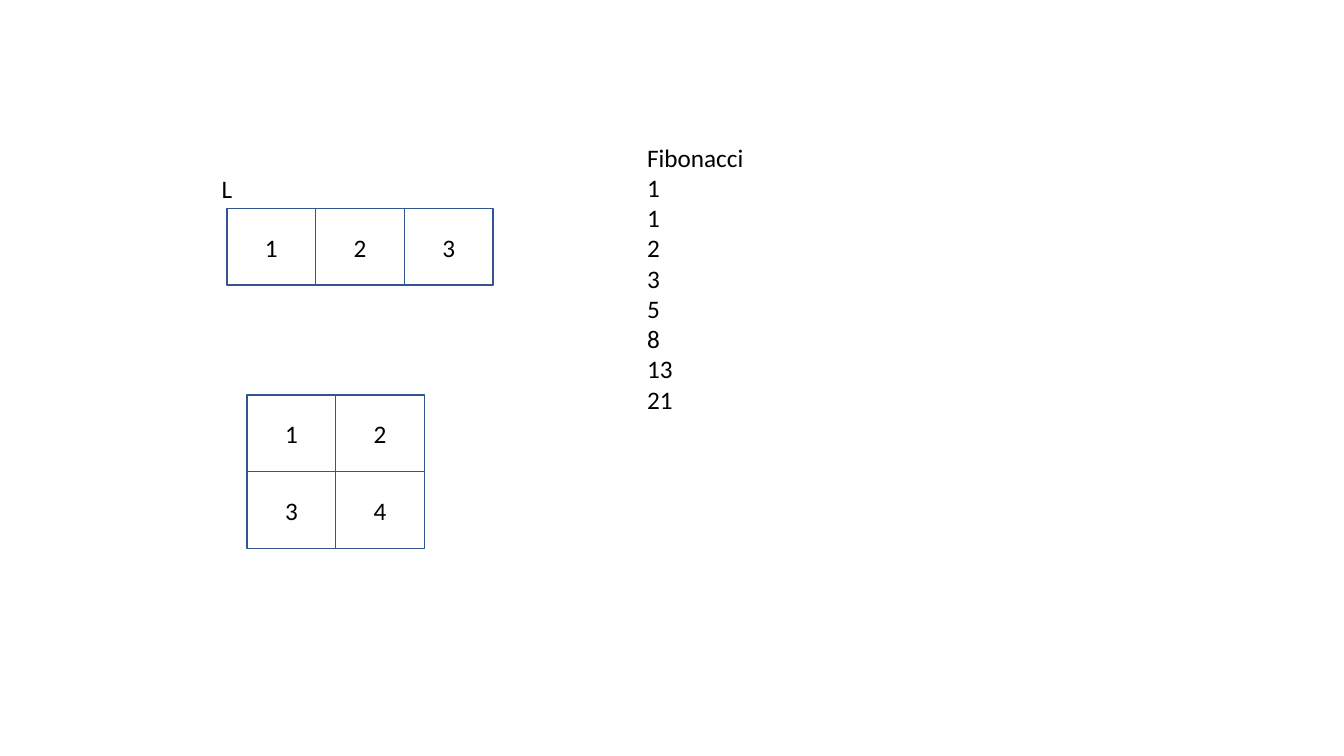
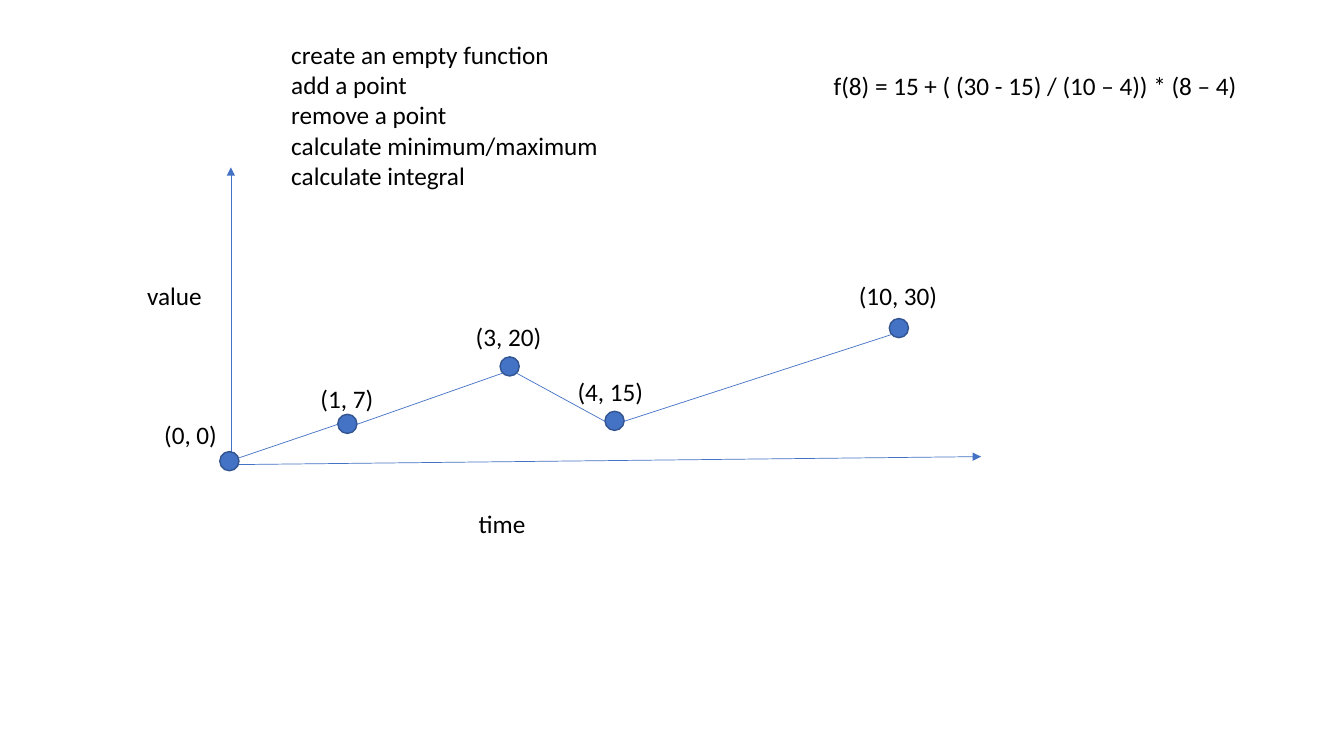
from dataclasses import dataclass
from typing import NamedTuple

from lxml import etree
from pptx import Presentation
from pptx.dml.color import RGBColor
from pptx.enum.shapes import MSO_CONNECTOR, MSO_SHAPE
from pptx.enum.text import MSO_ANCHOR, MSO_AUTO_SIZE, PP_ALIGN
from pptx.oxml.ns import qn
from pptx.shapes.autoshape import Shape
from pptx.slide import Slide
from pptx.text.text import TextFrame
from pptx.util import Inches, Pt

RECT, OVAL = MSO_SHAPE.RECTANGLE, MSO_SHAPE.OVAL
STRAIGHT = MSO_CONNECTOR.STRAIGHT
MIDDLE, CENTER, LEFT = MSO_ANCHOR.MIDDLE, PP_ALIGN.CENTER, PP_ALIGN.LEFT
GROW = MSO_AUTO_SIZE.SHAPE_TO_FIT_TEXT


@dataclass(frozen=True)
class Theme:
    font: str = "Calibri"
    size: float = 18
    ink: RGBColor = RGBColor(0, 0, 0)
    blue: RGBColor = RGBColor(0x44, 0x72, 0xC4)
    edge: RGBColor = RGBColor(0x32, 0x54, 0x91)
    border: float = 1
    thin: float = 0.5


THEME = Theme()
CELL_W, CELL_H = 0.88, 0.76
DOT = 0.19


class Label(NamedTuple):
    left: float
    top: float
    width: float
    height: float
    lines: list[str]


class Grid(NamedTuple):
    left: float
    top: float
    rows: list[list[int]]


class Point(NamedTuple):
    left: float
    top: float
    label: Label


class Line(NamedTuple):
    start: tuple[float, float]
    end: tuple[float, float]
    arrow: bool = False


def write(frame: TextFrame, lines: list[str], align: PP_ALIGN) -> None:
    for i, line in enumerate(lines):
        para = frame.add_paragraph() if i else frame.paragraphs[0]
        para.alignment = align
        run = para.add_run()
        run.text = line
        run.font.name = THEME.font
        run.font.size = Pt(THEME.size)
        run.font.color.rgb = THEME.ink


def add_label(slide: Slide, label: Label) -> None:
    box = slide.shapes.add_textbox(*map(Inches, label[:4]))
    frame = box.text_frame
    frame.word_wrap = False
    frame.auto_size = GROW
    write(frame, label.lines, LEFT)


def add_form(slide: Slide, kind: MSO_SHAPE, left: float, top: float,
             width: float, height: float) -> Shape:
    form = slide.shapes.add_shape(kind, *map(Inches, (left, top, width, height)))
    form.shadow.inherit = False
    form.line.color.rgb = THEME.edge
    form.line.width = Pt(THEME.border)
    return form


def add_grid(slide: Slide, grid: Grid) -> None:
    for r, row in enumerate(grid.rows):
        for c, value in enumerate(row):
            cell = add_form(slide, RECT, grid.left + c * CELL_W,
                            grid.top + r * CELL_H, CELL_W, CELL_H)
            cell.fill.background()
            cell.text_frame.vertical_anchor = MIDDLE
            write(cell.text_frame, [str(value)], CENTER)


def add_point(slide: Slide, point: Point) -> None:
    dot = add_form(slide, OVAL, point.left, point.top, DOT, DOT)
    dot.fill.solid()
    dot.fill.fore_color.rgb = THEME.blue
    add_label(slide, point.label)


def add_line(slide: Slide, line: Line) -> None:
    link = slide.shapes.add_connector(
        STRAIGHT, *map(Inches, line.start + line.end))
    link.line.color.rgb = THEME.blue
    link.line.width = Pt(THEME.thin)
    props = link.element.spPr
    if line.arrow:
        etree.SubElement(props.find(qn("a:ln")), qn("a:tailEnd"), type="triangle")
    etree.SubElement(props, qn("a:effectLst"))


# Lists slide
GRIDS = [
    Grid(2.25, 2.07, [[1, 2, 3]]),
    Grid(2.45, 3.92, [[1, 2], [3, 4]]),
]
LIST_TEXT = [
    Label(2.1, 1.67, 0.31, 0.4, ["L"]),
    Label(6.32, 1.36, 1.17, 2.83,
          ["Fibonacci", "1", "1", "2", "3", "5", "8", "13", "21"]),
]

# Function slide
LINES = [
    Line((2.29, 4.61), (2.29, 1.66), arrow=True),
    Line((2.27, 4.61), (9.73, 4.53), arrow=True),
    Line((2.29, 4.57), (3.35, 4.21)),
    Line((3.54, 4.21), (4.99, 3.7)),
    Line((5.12, 3.7), (6, 4.18)),
    Line((6.19, 4.18), (8.84, 3.32)),
]
POINTS = [
    Point(2.18, 4.48, Label(1.53, 4.11, 0.73, 0.4, ["(0, 0)"])),
    Point(3.35, 4.11, Label(3.08, 3.75, 0.73, 0.4, ["(1, 7)"])),
    Point(4.96, 3.54, Label(4.62, 3.14, 0.86, 0.4, ["(3, 20)"])),
    Point(6, 4.08, Label(5.63, 3.68, 0.86, 0.4, ["(4, 15)"])),
    Point(8.82, 3.16, Label(8.42, 2.73, 0.99, 0.4, ["(10, 30)"])),
]
PLOT_TEXT = [
    Label(4.65, 4.99, 0.67, 0.4, ["time"]),
    Label(1.36, 2.73, 0.75, 0.4, ["value"]),
    Label(2.79, 0.34, 3.28, 1.92,
          ["create an empty function", "add a point", "remove a point",
           "calculate minimum/maximum", "calculate integral"]),
    Label(8.17, 0.65, 4.32, 0.4,
          ["f(8) = 15 + ( (30 - 15) / (10 – 4)) * (8 – 4) "]),
]

deck = Presentation()
deck.slide_width, deck.slide_height = Inches(13.33), Inches(7.5)
blank = deck.slide_layouts[6]

lists = deck.slides.add_slide(blank)
for grid in GRIDS:
    add_grid(lists, grid)
for label in LIST_TEXT:
    add_label(lists, label)

plot = deck.slides.add_slide(blank)
for line in LINES:
    add_line(plot, line)
for point in POINTS:
    add_point(plot, point)
for label in PLOT_TEXT:
    add_label(plot, label)

deck.save("out.pptx")
